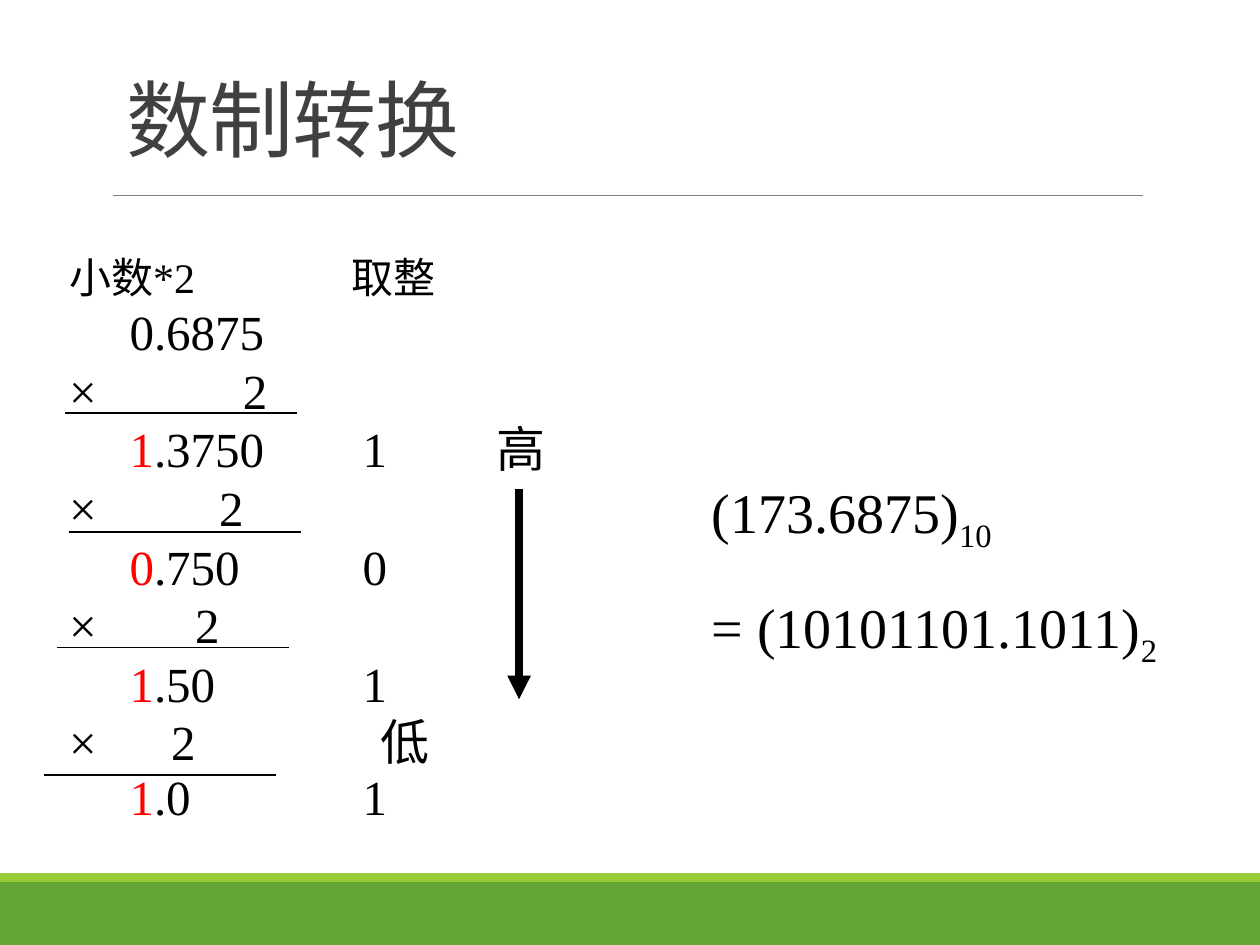
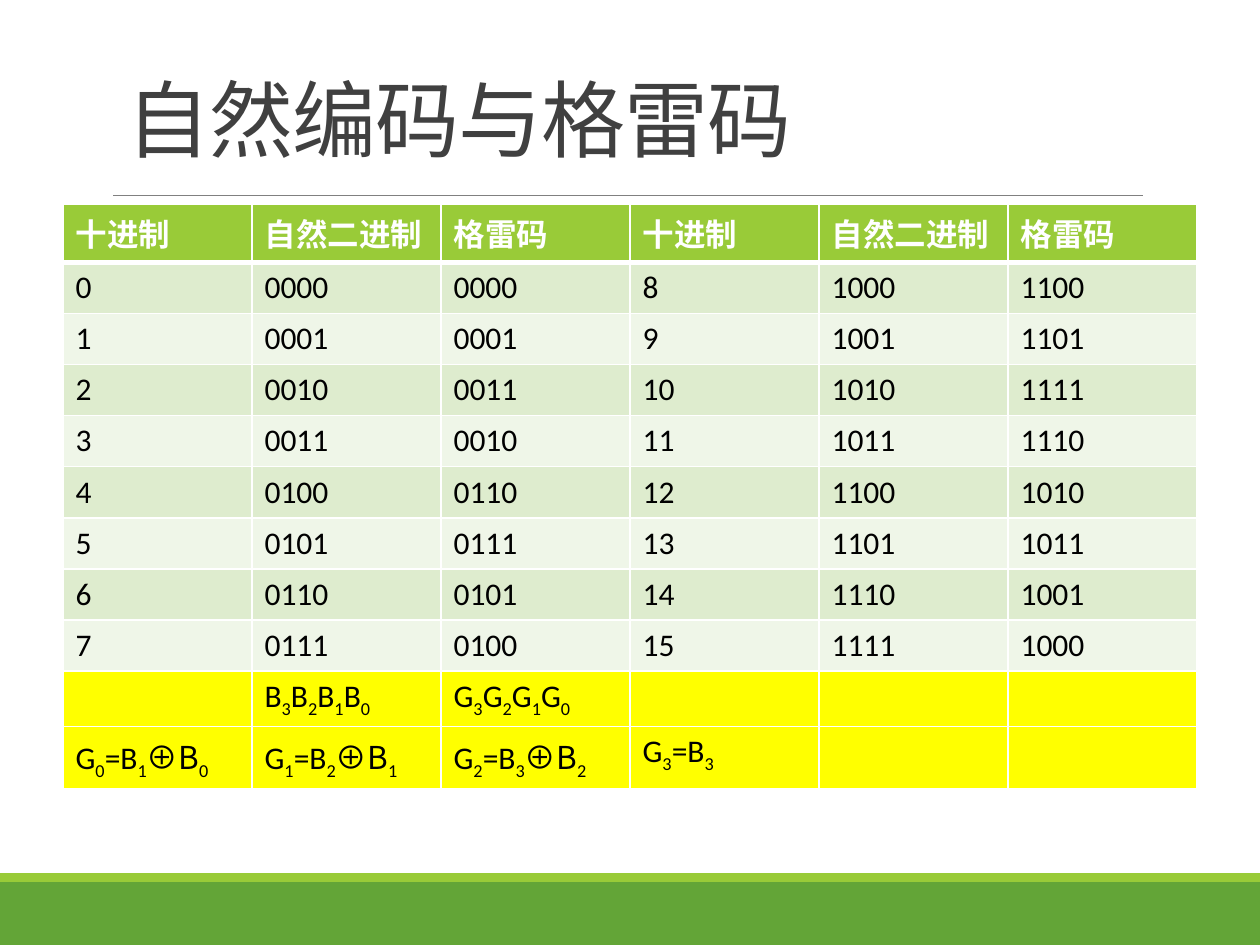
from dataclasses import dataclass

from lxml.etree import SubElement
from pptx import Presentation
from pptx.dml.color import RGBColor
from pptx.enum.shapes import MSO_CONNECTOR as Connector
from pptx.enum.shapes import MSO_SHAPE as Shape
from pptx.enum.text import MSO_ANCHOR as Anchor
from pptx.enum.text import PP_ALIGN as Align
from pptx.oxml.ns import qn
from pptx.util import Inches, Pt

COLORS = {
    "green": "63A537", "lime": "99CB38", "rule": "808080", "title": "404040",
    "black": "000000", "white": "FFFFFF", "red": "FF0000", "yellow": "FFFF00",
    "band_dark": "DEECCE", "band_light": "EFF6E8",
}
SANS, SERIF, CHINESE = "Calibri", "Times New Roman", "Noto Sans CJK SC"


@dataclass(frozen=True)
class Band:
    top: float
    height: float
    color: str


@dataclass(frozen=True)
class Line:
    x1: float
    y1: float
    x2: float
    y2: float
    color: str = "black"
    width: float = 1
    arrow: bool = False


@dataclass(frozen=True)
class Step:
    tabs: tuple[float, ...]
    spans: tuple[tuple[str, str, float], ...]
    pitch: float = 33.5


BANDS = (Band(7, 0.5, "green"), Band(6.93, 0.07, "lime"))
TITLE_RULE = Line(0.9, 1.55, 9.07, 1.55, "rule", 0.5)

DIGIT_TAB, RESULT_TAB, HIGH_TAB, LOW_TAB = 0.48, 2.33, 3.39, 2.47
PRODUCTS = (("1", ".3750"), ("0", ".750"), ("1", ".50"), ("1", ".0"))
UNDERLINES = ((0.52, 3.28), (0.55, 4.22), (0.45, 5.14), (0.35, 6.15))
UNDERLINE_LENGTH = 1.84

HEADINGS = ("十进制", "自然二进制", "格雷码") * 2
FORMULAS = (
    ("", "B|3|B|2|B|1|B|0", "G|3|G|2|G|1|G|0", "", "", ""),
    ("G|0|=B|1|⊕B|0", "G|1|=B|2|⊕B|1", "G|2|=B|3|⊕B|2", "G|3|=B|3", "", ""),
)


def rgb(name: str) -> RGBColor:
    return RGBColor.from_string(COLORS[name])


def add_span(para, text: str, *, size: float, font: str = SANS, color: str = "black",
             bold: bool = False, baseline: int = 0, spacing: int = 0) -> None:
    span = para.add_run()
    span.text = text
    span.font.size = Pt(size)
    span.font.name = font
    span.font.bold = bold
    span.font.color.rgb = rgb(color)
    properties = span._r.get_or_add_rPr()
    for tag in ("a:ea", "a:sym"):
        SubElement(properties, qn(tag), typeface=CHINESE)
    if baseline:
        properties.set("baseline", str(baseline))
    if spacing:
        properties.set("spc", str(spacing))


def add_indexed(para, text: str, *, size: float, font: str) -> None:
    for index, piece in enumerate(text.split("|")):
        add_span(para, piece, size=size, font=CHINESE if "⊕" in piece else font,
                 baseline=-25000 if index % 2 else 0)


def add_line(page, line: Line):
    connector = page.shapes.add_connector(
        Connector.STRAIGHT, Inches(line.x1), Inches(line.y1), Inches(line.x2), Inches(line.y2))
    connector.line.color.rgb = rgb(line.color)
    connector.line.width = Pt(line.width)
    if line.arrow:
        SubElement(connector.get_or_add_ln(), qn("a:tailEnd"), type="triangle")
    SubElement(connector._element.spPr, qn("a:effectLst"))
    return connector


def add_band(page, band: Band):
    shape = page.shapes.add_shape(
        Shape.RECTANGLE, 0, Inches(band.top), Inches(10), Inches(band.height))
    shape.shadow.inherit = False
    shape.fill.solid()
    shape.fill.fore_color.rgb = rgb(band.color)
    shape.line.fill.background()
    return shape


def add_text_box(page, left: float, top: float, width: float, height: float):
    box = page.shapes.add_textbox(Inches(left), Inches(top), Inches(width), Inches(height))
    box.text_frame.word_wrap = True
    return box.text_frame


def next_para(frame, index: int):
    return frame.add_paragraph() if index else frame.paragraphs[0]


def dress_layout(page) -> None:
    layout = page.slide_layout
    decorations = [add_band(page, band) for band in BANDS] + [add_line(page, TITLE_RULE)]
    for position, decoration in enumerate(decorations, start=2):
        layout.shapes.element.insert(position, decoration._element)


def set_title(page, text: str) -> None:
    title = page.shapes.title
    title.left, title.top, title.width, title.height = map(Inches, (0.9, 0.31, 8.25, 1.08))
    title.text_frame.vertical_anchor = Anchor.BOTTOM
    para = title.text_frame.paragraphs[0]
    para.alignment = Align.LEFT
    para.line_spacing = 0.85
    add_span(para, text, size=48, font=CHINESE, color="title", spacing=-50)


def multiplication_steps() -> list[Step]:
    steps = [
        Step((2.24,), (("小数*2", "black", 24), ("\t取整", "black", 24))),
        Step((DIGIT_TAB,), (("\t0.6875", "black", 28),)),
    ]
    last = len(PRODUCTS) - 1
    for index, (whole, fraction) in enumerate(PRODUCTS):
        low = "\t低" if index == last else ""
        high = "\t高" if index == 0 else ""
        steps.append(Step((1.38 - 0.19 * index, LOW_TAB), ((f"×\t2{low}", "black", 28),)))
        steps.append(Step(
            (DIGIT_TAB, RESULT_TAB, HIGH_TAB),
            ((f"\t{whole}", "red", 28), (f"{fraction}\t{whole}{high}", "black", 28)),
            31 if index == last else 33.5))
    return steps


def add_steps(page) -> None:
    frame = add_text_box(page, 0.45, 1.88, 5.62, 4.77)
    for index, step in enumerate(multiplication_steps()):
        para = next_para(frame, index)
        para.line_spacing = Pt(step.pitch)
        tab_list = SubElement(para._p.get_or_add_pPr(), qn("a:tabLst"))
        for tab in step.tabs:
            SubElement(tab_list, qn("a:tab"), pos=str(Inches(tab)), algn="l")
        for text, color, size in step.spans:
            add_span(para, text, size=size, font=SERIF, color=color)


def build_conversion(page) -> None:
    set_title(page, "数制转换")
    for left, top in UNDERLINES:
        add_line(page, Line(left, top, left + UNDERLINE_LENGTH, top))
    frame = add_text_box(page, 5.55, 3.74, 4, 2.04)
    for index, text in enumerate(("(173.6875)|10", "= (10101101.1011)|2")):
        para = next_para(frame, index)
        if index:
            para.line_spacing = 1.3
            para.space_before = Pt(9)
        add_indexed(para, text, size=32, font=SERIF)
    add_steps(page)
    add_line(page, Line(4.12, 3.88, 4.12, 5.55, width=4.5, arrow=True))


def set_borders(cell, top: float, bottom: float) -> None:
    properties = cell._tc.get_or_add_tcPr()
    for tag, width in (("a:lnL", 1), ("a:lnR", 1), ("a:lnT", top), ("a:lnB", bottom)):
        border = SubElement(properties, qn(tag), w=str(Pt(width)))
        fill = SubElement(border, qn("a:solidFill"))
        SubElement(fill, qn("a:srgbClr"), val=COLORS["white"])


def code_row(number: int) -> tuple[str, ...]:
    return tuple(text for value in (number, number + 8)
                 for text in (str(value), f"{value:04b}", f"{value ^ value >> 1:04b}"))


def row_fill(row: int) -> str:
    if row == 0:
        return "lime"
    if row > 8:
        return "yellow"
    return "band_dark" if row % 2 else "band_light"


def build_gray_code(page) -> None:
    rows = [HEADINGS, *map(code_row, range(8)), *FORMULAS]
    table = page.shapes.add_table(
        len(rows), len(HEADINGS), Inches(0.5), Inches(1.62), Inches(9), Inches(4.46)).table
    table.horz_banding = False
    for row, texts in enumerate(rows):
        for column, text in enumerate(texts):
            cell = table.cell(row, column)
            set_borders(cell, 3 if row == 1 else 1, 3 if row == 0 else 1)
            cell.fill.solid()
            cell.fill.fore_color.rgb = rgb(row_fill(row))
            para = cell.text_frame.paragraphs[0]
            if row == 0:
                add_span(para, text, size=18, color="white", bold=True)
            elif text:
                add_indexed(para, text, size=18, font=SANS)
    set_title(page, "自然编码与格雷码")


def main() -> None:
    deck = Presentation()
    deck.slide_width, deck.slide_height = Inches(10), Inches(7.5)
    layout = deck.slide_layouts[5]
    pages = [deck.slides.add_slide(layout) for _ in range(2)]
    dress_layout(pages[0])
    build_conversion(pages[0])
    build_gray_code(pages[1])
    deck.save("out.pptx")


if __name__ == "__main__":
    main()
